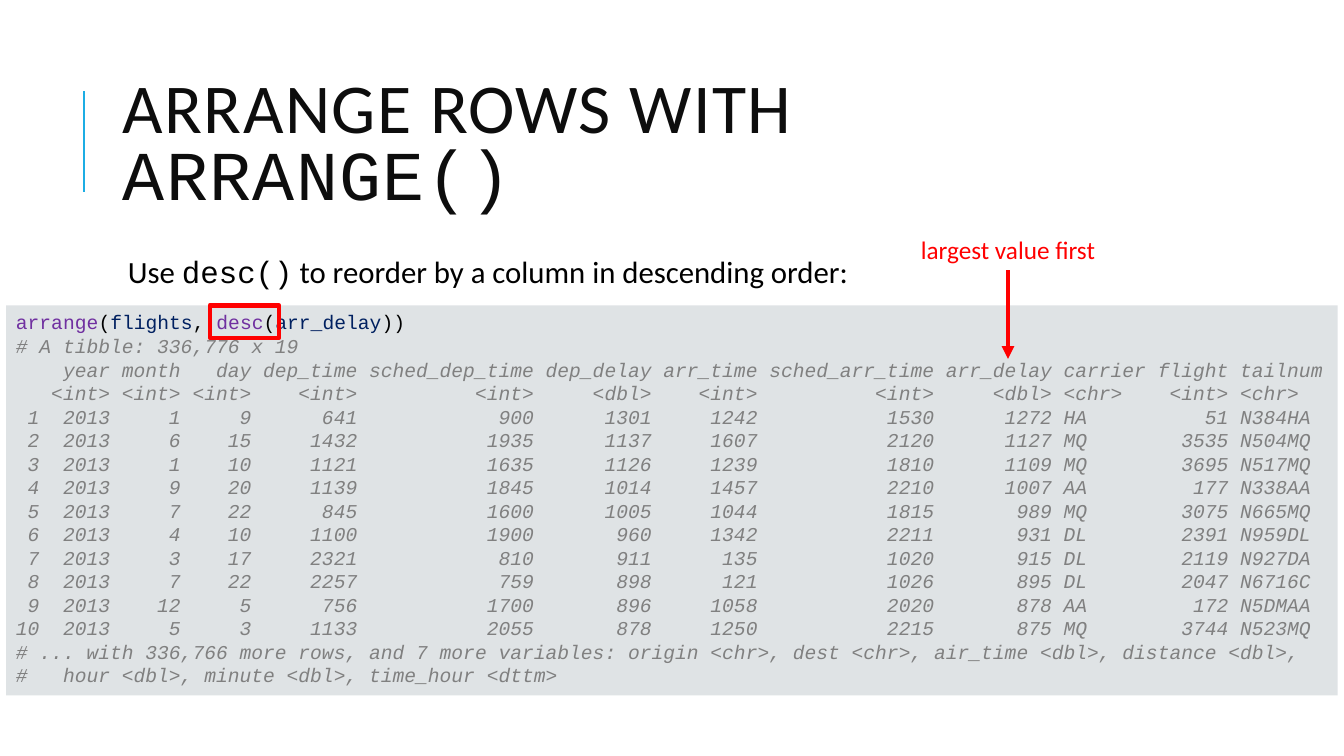
from lxml import etree
from pptx import Presentation
from pptx import util as u
from pptx.dml.color import RGBColor
from pptx.enum import shapes, text
from pptx.oxml import ns

BLACK = RGBColor(0, 0, 0)
INK = RGBColor(0x0D, 0x0D, 0x0D)
BLUE = RGBColor(0x1C, 0xAD, 0xE4)
RED = RGBColor(0xFF, 0, 0)
PANEL = RGBColor(0xDF, 0xE3, 0xE5)
PURPLE = RGBColor(0x70, 0x30, 0xA0)
NAVY = RGBColor(0, 0x20, 0x60)
GRAY = RGBColor(0x80, 0x80, 0x80)

SANS, MONO = "Calibri", "Courier New"

HEADS = ("year month day dep_time sched_dep_time dep_delay arr_time "
         "sched_arr_time arr_delay carrier flight tailnum").split()
TYPES = ("<int> <int> <int> <int> <int> <dbl> <int> <int> <dbl> "
         "<chr> <int> <chr>").split()
FLIGHTS = """\
2013 1 9 641 900 1301 1242 1530 1272 HA 51 N384HA
2013 6 15 1432 1935 1137 1607 2120 1127 MQ 3535 N504MQ
2013 1 10 1121 1635 1126 1239 1810 1109 MQ 3695 N517MQ
2013 9 20 1139 1845 1014 1457 2210 1007 AA 177 N338AA
2013 7 22 845 1600 1005 1044 1815 989 MQ 3075 N665MQ
2013 4 10 1100 1900 960 1342 2211 931 DL 2391 N959DL
2013 3 17 2321 810 911 135 1020 915 DL 2119 N927DA
2013 7 22 2257 759 898 121 1026 895 DL 2047 N6716C
2013 12 5 756 1700 896 1058 2020 878 AA 172 N5DMAA
2013 5 3 1133 2055 878 1250 2215 875 MQ 3744 N523MQ"""


def tibble():
    """Return the printed lines: text columns flush left, numbers flush right."""
    rows = [HEADS, TYPES] + [row.split() for row in FLIGHTS.splitlines()]
    wide = [max(map(len, col)) for col in zip(*rows)]
    lines = []
    for num, row in enumerate(rows, -1):
        cells = [f"{num if num > 0 else '':>2}"]
        for cell, kind, size in zip(row, TYPES, wide):
            cells.append(cell.ljust(size) if kind == "<chr>" else cell.rjust(size))
        lines.append(" ".join(cells).rstrip())
    return lines


class Deck:
    def __init__(self):
        self.show = Presentation()
        self.show.slide_width, self.show.slide_height = u.Pt(960), u.Pt(540)
        self.slide = self.show.slides.add_slide(self.show.slide_layouts[6])

    def box(self, x, y, w, h, anchor=text.MSO_ANCHOR.TOP, fill=None):
        shape = self.slide.shapes.add_textbox(*map(u.Pt, (x, y, w, h)))
        shape.text_frame.word_wrap = True
        shape.text_frame.vertical_anchor = anchor
        if fill is not None:
            shape.fill.solid()
            shape.fill.fore_color.rgb = fill
        return shape

    def words(self, para, runs, size, face=None, color=None, space=None):
        """Fill a paragraph; runs are (string, face, color), None if shared."""
        para.font.size = u.Pt(size)
        if face:
            para.font.name = face
        if color is not None:
            para.font.color.rgb = color
        for string, own, tint in runs:
            run = para.add_run()
            run.text = string
            if own:
                run.font.name = own
            if tint is not None:
                run.font.color.rgb = tint
            if space:
                run._r.get_or_add_rPr().set("spc", str(space * 100))

    def frame(self, x, y, w, h, color, width):
        rect = self.slide.shapes.add_shape(
            shapes.MSO_SHAPE.RECTANGLE, *map(u.Pt, (x, y, w, h)))
        rect.shadow.inherit = False
        rect.fill.background()
        rect.line.color.rgb = color
        rect.line.width = u.Pt(width)

    def line(self, x1, y1, x2, y2, color, width, start=None, arrow=False):
        link = self.slide.shapes.add_connector(
            shapes.MSO_CONNECTOR.STRAIGHT, *map(u.Pt, (x1, y1, x2, y2)))
        link.line.color.rgb = color
        link.line.width = u.Pt(width)
        props = link._element.spPr
        if arrow:
            tip = etree.SubElement(props.find(ns.qn("a:ln")), ns.qn("a:tailEnd"))
            tip.set("type", "triangle")
        etree.SubElement(props, ns.qn("a:effectLst"))
        if start is not None:
            link.begin_connect(start, 2)


def main():
    deck = Deck()
    deck.line(60, 136.8, 60, 64.8, BLUE, 1.5)

    title = deck.box(80.64, 46.08, 765.36, 118.08, text.MSO_ANCHOR.MIDDLE)
    para = title.text_frame.paragraphs[0]
    para.line_spacing = 0.8
    deck.words(para, [("ARRANGE ROWS WITH ", SANS, None), ("ARRANGE()", MONO, None)],
               50, color=INK, space=1)

    body = deck.box(80.64, 180, 765.36, 316.8)
    body.text_frame.margin_left = u.Pt(10.8)
    para = body.text_frame.paragraphs[0]
    para.line_spacing = 0.9
    deck.words(para, [("Use ", SANS, None), ("desc()", MONO, None),
                      (" to reorder by a column in descending order:", SANS, None)],
               22, color=BLACK)

    code = deck.box(4.32, 218.16, 951.12, 278.64, fill=PANEL).text_frame
    call = [("arrange", PURPLE), ("(", BLACK), ("flights", NAVY), (", ", BLACK),
            ("desc", PURPLE), ("(", BLACK), ("arr_delay", NAVY), ("))", BLACK)]
    deck.words(code.paragraphs[0], [(word, None, tint) for word, tint in call], 14, MONO)
    notes = ["# ... with 336,766 more rows, and 7 more variables: origin <chr>, "
             "dest <chr>, air_time <dbl>, distance <dbl>,",
             "#   hour <dbl>, minute <dbl>, time_hour <dttm>"]
    for row in ["# A tibble: 336,776 x 19"] + tibble() + notes:
        para = code.add_paragraph()
        para.font.italic = True
        deck.words(para, [(row, None, None)], 14, MONO, GRAY)

    deck.frame(149.76, 218.16, 49.68, 23.04, RED, 3)
    label = deck.box(645.12, 164.16, 149.76, 28.8)
    para = label.text_frame.paragraphs[0]
    para.alignment = text.PP_ALIGN.CENTER
    deck.words(para, [("largest value first", None, None)], 18, SANS, RED)
    deck.line(720, 192.96, 720, 256.32, RED, 3, label, True)

    deck.show.save("out.pptx")


if __name__ == "__main__":
    main()
